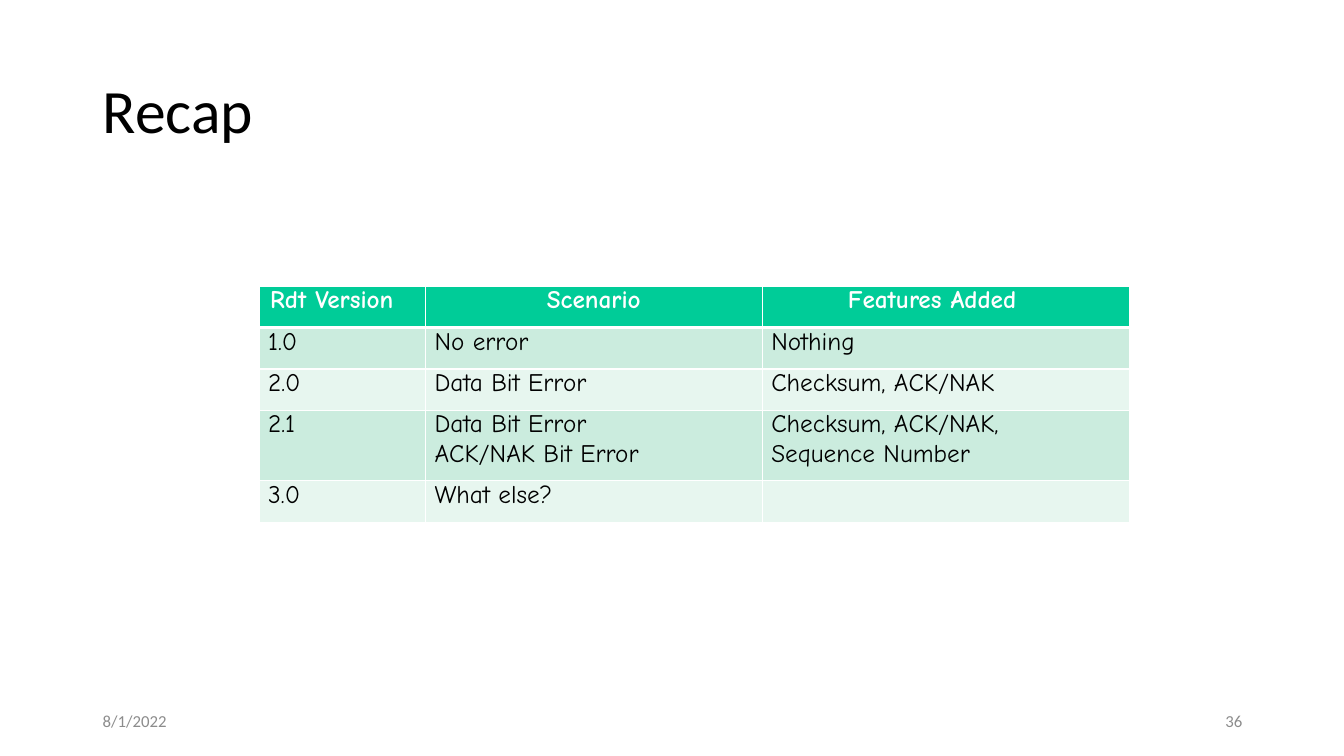
from lxml import etree
from pptx import Presentation
from pptx.dml.color import RGBColor
from pptx.enum import text
from pptx.oxml import ns
from pptx.util import Inches, Pt

LEFT, CENTER, RIGHT = text.PP_ALIGN.LEFT, text.PP_ALIGN.CENTER, text.PP_ALIGN.RIGHT
MIDDLE = text.MSO_ANCHOR.MIDDLE


def style(para, face, size, color, align=LEFT, bold=False):
    """Set the font and alignment of one paragraph."""
    para.alignment = align
    font = para.font
    font.name, font.size, font.bold = face, Pt(size), bold
    font.color.rgb = RGBColor.from_string(color)


def edge(cell, side, width, color):
    """Draw one border of a cell; call before the cell's fill is set."""
    props = cell._tc.get_or_add_tcPr()
    line = etree.SubElement(props, ns.qn("a:ln" + side), w=str(Pt(width)))
    fill = etree.SubElement(line, ns.qn("a:solidFill"))
    etree.SubElement(fill, ns.qn("a:srgbClr"), val=color)


deck = Presentation()
deck.slide_width, deck.slide_height = Inches(13.33), Inches(7.5)
slide = deck.slides.add_slide(deck.slide_layouts[6])

# Title, date and page number
labels = [
    ("Recap", 0.92, 0.4, 11.5, 1.45, 44, "000000", LEFT),
    ("8/1/2022", 0.92, 6.95, 3, 0.4, 12, "8C8C8C", LEFT),
    ("36", 9.42, 6.95, 3, 0.4, 12, "8C8C8C", RIGHT),
]
for words, x, y, w, h, size, color, align in labels:
    box = slide.shapes.add_textbox(Inches(x), Inches(y), Inches(w), Inches(h))
    frame = box.text_frame
    frame.word_wrap = True
    frame.vertical_anchor = MIDDLE
    frame.text = words
    style(frame.paragraphs[0], "Calibri", size, color, align)
    if size == 44:
        frame.paragraphs[0].line_spacing = 0.9

# Table of protocol versions
rows = [
    ("Rdt Version", "Scenario", "Features Added"),
    ("1.0", "No error", "Nothing"),
    ("2.0", "Data Bit Error", "Checksum, ACK/NAK"),
    ("2.1", "Data Bit Error ACK/NAK Bit Error", "Checksum, ACK/NAK, Sequence Number"),
    ("3.0", "What else?", ""),
]
widths = [1.65, 3.34, 3.64]
heights = [0.41, 0.41, 0.41, 0.7, 0.41]
indents = [0.11, 0, 0.85]
bands = ["E7F6EF", "CBECDE"]

grid = slide.shapes.add_table(
    len(rows), len(widths), Inches(2.57), Inches(2.84),
    Inches(sum(widths)), Inches(sum(heights))).table
for col, width in zip(grid.columns, widths):
    col.width = Inches(width)
for row, height in zip(grid.rows, heights):
    row.height = Inches(height)

for r, row in enumerate(rows):
    head = r == 0
    for c, words in enumerate(row):
        cell = grid.cell(r, c)
        cell.margin_top = cell.margin_bottom = 0
        cell.margin_left = Inches(indents[c] if head else 0.09)
        cell.margin_right = Inches(0 if head or c == 0 else 1)
        for side in "LRTB":
            thick = (r, side) in [(0, "B"), (1, "T")]
            edge(cell, side, 3 if thick else 1, "FFFFFF")
        cell.fill.solid()
        cell.fill.fore_color.rgb = RGBColor.from_string("00CC98" if head else bands[r % 2])
        cell.text = words
        style(cell.text_frame.paragraphs[0], "Comic Neue", 18,
              "FFFFFF" if head else "000000",
              CENTER if head and c == 1 else LEFT, head)

deck.save("out.pptx")
